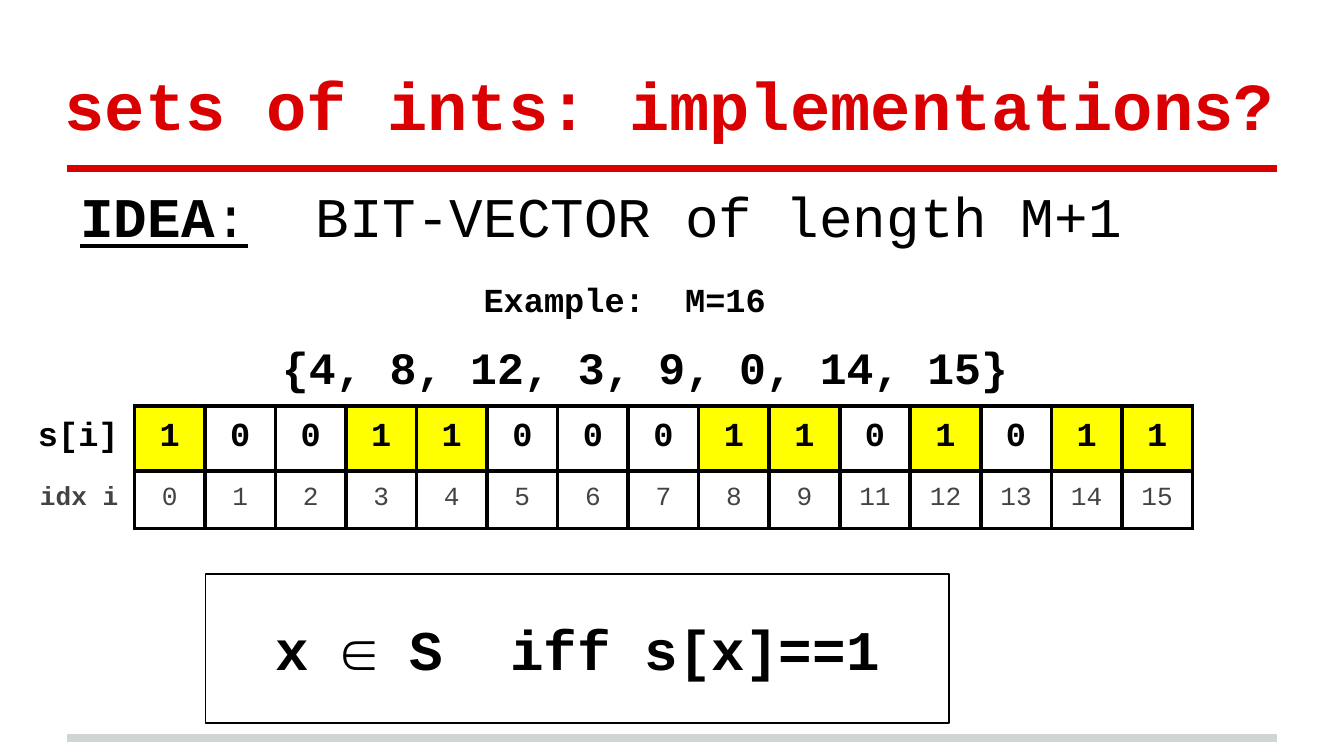
from dataclasses import dataclass

from lxml import etree
from pptx import Presentation
from pptx import util as u
from pptx.dml.color import RGBColor
from pptx.enum import shapes, text
from pptx.oxml import ns


@dataclass(frozen=True)
class Theme:
    font: str = "Courier New"
    red: str = "DA0002"
    black: str = "000000"
    grey: str = "434343"
    pale: str = "CFD4D4"
    yellow: str = "FFFF00"
    title: int = 36
    large: int = 30
    medium: int = 24
    small: int = 18
    index: int = 14
    rule: float = 4
    grid: float = 2.25
    outline: float = 0.75


THEME = Theme()
ALIGN = text.PP_ALIGN
MEMBERS = [4, 8, 12, 3, 9, 0, 14, 15]
INDICES = [i for i in range(16) if i != 10]
INSET = u.Cm(0.25)


def prepare_frame(frame, anchor=text.MSO_ANCHOR.TOP):
    frame.word_wrap = True
    frame.auto_size = text.MSO_AUTO_SIZE.NONE
    frame.vertical_anchor = anchor
    frame.margin_left = frame.margin_right = INSET
    frame.margin_top = frame.margin_bottom = INSET
    return frame


def write(paragraph, content, size, color=THEME.black, bold=True,
          underline=False, align=ALIGN.LEFT, before=0, indent=0):
    paragraph.alignment = align
    paragraph.space_before = u.Pt(before)
    properties = paragraph._p.get_or_add_pPr()
    properties.set("marL", str(int(indent)))
    properties.set("indent", "0")
    run = paragraph.add_run()
    run.text = content
    font = run.font
    font.name, font.size = THEME.font, u.Pt(size)
    font.bold, font.underline = bold, underline
    font.color.rgb = RGBColor.from_string(color)


def add_rule(slide, top, color):
    rule = slide.shapes.add_connector(
        shapes.MSO_CONNECTOR.STRAIGHT, u.Cm(1.27), top, u.Cm(24.13), top)
    rule.line.color.rgb = RGBColor.from_string(color)
    rule.line.width = u.Pt(THEME.rule)
    etree.SubElement(rule._element.spPr, ns.qn("a:effectLst"))


def add_title(slide):
    title = slide.shapes.title
    title.left, title.top = u.Cm(0.97), u.Cm(0.58)
    title.width, title.height = u.Cm(25.02), u.Cm(2.39)
    frame = prepare_frame(title.text_frame, text.MSO_ANCHOR.BOTTOM)
    write(frame.paragraphs[0], "sets of ints: implementations?",
          THEME.title, color=THEME.red)


def add_idea(slide):
    box = slide.shapes.add_textbox(u.Cm(1.27), u.Cm(3.18), u.Cm(22.86), u.Cm(4.4))
    frame = prepare_frame(box.text_frame)
    idea = frame.paragraphs[0]
    write(idea, "IDEA", THEME.large, underline=True)
    write(idea, ":", THEME.large, bold=False, underline=True)
    write(idea, "  BIT-VECTOR of length M+1", THEME.large, bold=False)
    write(frame.add_paragraph(), "Example:  M=16", THEME.small,
          before=16, indent=u.Cm(7.62))
    members = "{" + ", ".join(map(str, MEMBERS)) + "}"
    write(frame.add_paragraph(), members, THEME.medium,
          before=11, indent=u.Cm(3.81))


def set_borders(cell, color):
    properties = cell._tc.get_or_add_tcPr()
    for side in ("lnL", "lnR", "lnT", "lnB"):
        border = etree.SubElement(properties, ns.qn(f"a:{side}"))
        if color:
            border.set("w", str(u.Pt(THEME.grid)))
            fill = etree.SubElement(border, ns.qn("a:solidFill"))
            etree.SubElement(fill, ns.qn("a:srgbClr")).set("val", color)
        else:
            etree.SubElement(border, ns.qn("a:noFill"))


def add_rows(slide, left, width, bits, indices, align, border=None, index_bold=False):
    heights = [u.Cm(1.23), u.Cm(1.09)]
    table = slide.shapes.add_table(
        2, len(bits), left, u.Cm(7.67), width, sum(heights)).table
    table.first_row = table.horz_banding = False
    for column in table.columns:
        column.width = width // len(bits)
    styles = [dict(size=THEME.small),
              dict(size=THEME.index, color=THEME.grey, bold=index_bold)]
    for row, height, values, style in zip(table.rows, heights, (bits, indices), styles):
        row.height = height
        for cell, value in zip(row.cells, values):
            cell.margin_left = cell.margin_right = INSET
            cell.margin_top = cell.margin_bottom = INSET
            write(cell.text_frame.paragraphs[0], value, align=align, **style)
            set_borders(cell, border)
            if values is bits and value == "1":
                cell.fill.solid()
                cell.fill.fore_color.rgb = RGBColor.from_string(THEME.yellow)
            else:
                cell.fill.background()


def add_rule_box(slide):
    box = slide.shapes.add_shape(
        shapes.MSO_SHAPE.RECTANGLE, u.Cm(3.89), u.Cm(10.85), u.Cm(14.05), u.Cm(2.82))
    box.shadow.inherit = False
    box.fill.background()
    box.line.color.rgb = RGBColor.from_string(THEME.black)
    box.line.width = u.Pt(THEME.outline)
    frame = prepare_frame(box.text_frame, text.MSO_ANCHOR.MIDDLE)
    write(frame.paragraphs[0], "x ∈ S  iff s[x]==1", THEME.large, align=ALIGN.CENTER)


def main():
    presentation = Presentation()
    presentation.slide_width, presentation.slide_height = u.Cm(25.4), u.Cm(14.29)
    slide = presentation.slides.add_slide(presentation.slide_layouts[5])
    add_rule(slide, u.Cm(13.95), THEME.pale)
    add_rule(slide, u.Cm(3.18), THEME.red)
    add_title(slide)
    add_idea(slide)
    bits = [str(int(i in MEMBERS)) for i in INDICES]
    add_rows(slide, u.Cm(2.54), u.Cm(20), bits, [str(i) for i in INDICES],
             ALIGN.CENTER, border=THEME.black)
    add_rows(slide, u.Cm(0.25), u.Cm(2.24), ["s[i]"], ["idx i"],
             ALIGN.RIGHT, index_bold=True)
    add_rule_box(slide)
    presentation.save("out.pptx")


if __name__ == "__main__":
    main()
